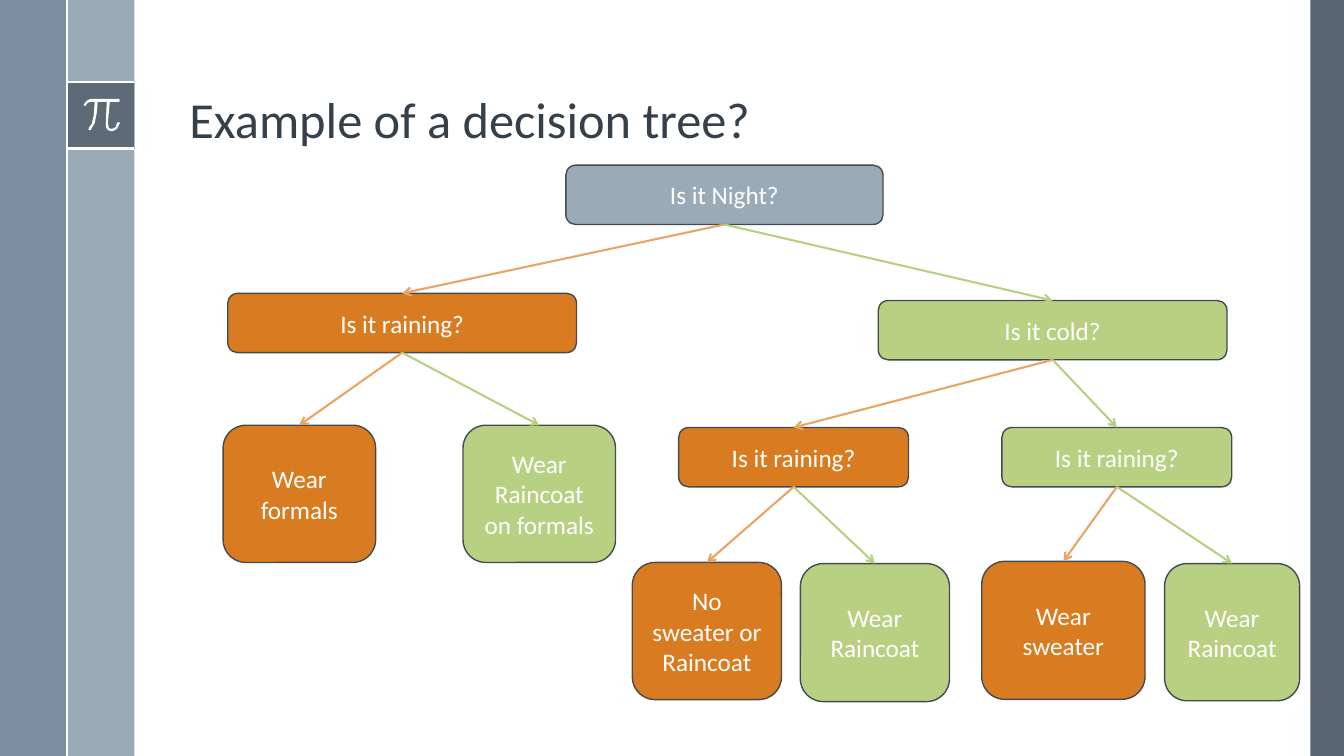
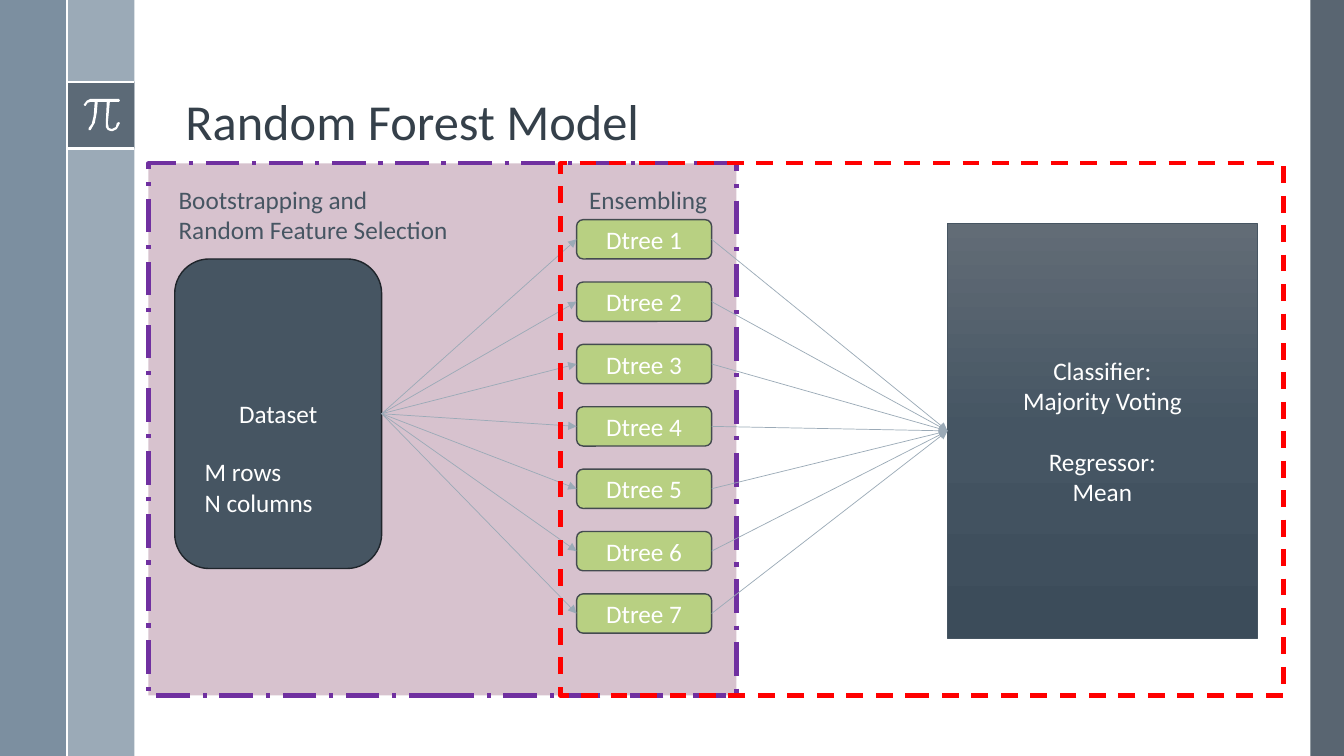
from collections import namedtuple
from copy import deepcopy

from lxml.etree import SubElement
from pptx import Presentation
from pptx.dml.color import RGBColor
from pptx.enum.dml import MSO_LINE
from pptx.enum.shapes import MSO_CONNECTOR, MSO_SHAPE
from pptx.enum.text import MSO_ANCHOR, PP_ALIGN
from pptx.oxml.ns import qn
from pptx.util import Inches, Pt

WIDTH, HEIGHT = Inches(13.33), Inches(7.5)
COLUMN, ROW = WIDTH / 20, HEIGHT / 20

WHITE = RGBColor(0xFF, 0xFF, 0xFF)
SLATE = RGBColor(0x47, 0x55, 0x62)
STEEL = RGBColor(0x6A, 0x80, 0x93)
MIST = RGBColor(0x9B, 0xAA, 0xB7)
INK = RGBColor(0x35, 0x40, 0x4A)
DATA_GREY = RGBColor(0x46, 0x55, 0x62)
DATA_EDGE = RGBColor(0x1F, 0x25, 0x2B)
NODE_EDGE = RGBColor(0x44, 0x4B, 0x50)
ORANGE = RGBColor(0xD9, 0x7B, 0x20)
PALE_ORANGE = RGBColor(0xE8, 0xA5, 0x65)
GREEN = RGBColor(0xB8, 0xD0, 0x82)
MAUVE = RGBColor(0xD7, 0xC2, 0xCE)
PURPLE = RGBColor(0x70, 0x30, 0xA0)
RED = RGBColor(0xFF, 0x00, 0x00)
CLASSIFIER_STOPS = {
    0: RGBColor(0x62, 0x6C, 0x76),
    0.5: RGBColor(0x45, 0x55, 0x63),
    1: RGBColor(0x3C, 0x4C, 0x5A),
}

BODY = {"name": "Calibri", "size": Pt(18)}
TITLE = {"name": "Calibri", "size": Pt(36)}
TOP, LEFT, BOTTOM, RIGHT = range(4)  # connection sites of a box

# Outline of the pi sign, in hundredths of an inch
PI_OUTLINE = [
    (118, 98), (90, 98), (86, 100), (83, 104), (84, 105), (85, 105),
    (87, 102), (90, 101), (94, 101), (93, 115), (91, 123), (88, 127),
    (88, 129), (90, 129), (94, 122), (96, 112), (97, 101), (106, 101),
    (105, 122), (105, 126), (107, 129), (110, 130), (112, 130), (116, 128),
    (119, 122), (118, 121), (116, 122), (115, 126), (111, 128), (108, 127),
    (107, 122), (109, 101), (118, 101), (119, 100),
]

Node = namedtuple("Node", "text place no yes", defaults=(None, None))

# Places are left column, top row, columns wide, rows high
DECISION_TREE = Node(
    "Is it Night?", (8.42, 4.37, 4.72, 1.57),
    no=Node(
        "Is it raining?", (3.39, 7.76, 5.19, 1.57),
        no=Node("Wear formals", (3.32, 11.25, 2.27, 3.63)),
        yes=Node("Wear Raincoat\non formals", (6.89, 11.25, 2.27, 3.63)),
    ),
    yes=Node(
        "Is it cold?", (13.07, 7.95, 5.19, 1.57),
        no=Node(
            "Is it raining?", (10.1, 11.31, 3.42, 1.57),
            no=Node("No sweater or Raincoat", (9.41, 14.88, 2.22, 3.63)),
            yes=Node("Wear Raincoat", (11.91, 14.91, 2.22, 3.65)),
        ),
        yes=Node(
            "Is it raining?", (14.91, 11.31, 3.42, 1.57),
            no=Node("Wear sweater", (14.61, 14.85, 2.43, 3.65)),
            yes=Node("Wear Raincoat", (17.33, 14.91, 2.01, 3.63)),
        ),
    ),
)


def on_grid(left, top, columns, rows):
    return (round(left * COLUMN), round(top * ROW),
            round(columns * COLUMN), round(rows * ROW))


def write(box, text, color, style=BODY, align=PP_ALIGN.LEFT,
          anchor=MSO_ANCHOR.TOP):
    """Fill the box with one paragraph for each line of text."""
    frame = box.text_frame
    frame.word_wrap = True
    frame.vertical_anchor = anchor
    frame.text = text
    for para in frame.paragraphs:
        para.alignment = align
        for name, value in style.items():
            setattr(para.font, name, value)
        para.font.color.rgb = color
    return frame


def add_label(slide, place, text, color, **layout):
    box = slide.shapes.add_textbox(*on_grid(*place))
    return write(box, text, color, **layout)


def add_box(slide, place, fill=None, edge=None, weight=1, dash=None,
            preset=MSO_SHAPE.RECTANGLE, text="", opacity=100):
    box = slide.shapes.add_shape(preset, *on_grid(*place))
    box.shadow.inherit = False
    if fill is None:
        box.fill.background()
    else:
        box.fill.solid()
        box.fill.fore_color.rgb = fill
    if opacity < 100:
        color = box.fill._xPr.find(qn("a:solidFill"))[0]
        SubElement(color, qn("a:alpha"), val=str(opacity * 1000))
    if edge is None:
        box.line.fill.background()
    else:
        box.line.color.rgb = edge
        box.line.width = Pt(weight)
        if dash:
            box.line.dash_style = dash
    if text:
        write(box, text, WHITE, align=PP_ALIGN.CENTER,
              anchor=MSO_ANCHOR.MIDDLE)
    return box


def add_node(slide, place, text, fill, edge=NODE_EDGE):
    return add_box(slide, place, fill, edge, text=text,
                   preset=MSO_SHAPE.ROUNDED_RECTANGLE)


def add_line(slide, color, weight, ends=(0, 0, 0, 0), head=None):
    """Draw a line between grid points: from column, row to column, row."""
    line = slide.shapes.add_connector(MSO_CONNECTOR.STRAIGHT, *on_grid(*ends))
    line.line.color.rgb = color
    line.line.width = Pt(weight)
    if head:
        SubElement(line.line._get_or_add_ln(), qn("a:tailEnd"), type=head)
    SubElement(line._element.spPr, qn("a:effectLst"))
    return line


def link(slide, start, start_site, end, end_site, color, weight, head):
    """Join two boxes with an arrow."""
    arrow = add_line(slide, color, weight, head=head)
    arrow.begin_connect(start, start_site)
    arrow.end_connect(end, end_site)


def shade(box, stops):
    """Fill the box with a gradient that runs downwards."""
    box.fill.gradient()
    box.fill.gradient_angle = 270
    stop_list = box.fill._xPr.find(qn("a:gradFill")).find(qn("a:gsLst"))
    while len(stop_list) < len(stops):
        stop_list.append(deepcopy(stop_list[0]))
    for stop, (position, color) in zip(box.fill.gradient_stops, stops.items()):
        stop.position = position
        stop.color.rgb = color


def add_pi(slide):
    builder = slide.shapes.build_freeform(*PI_OUTLINE[0], scale=Inches(0.01))
    builder.add_line_segments(PI_OUTLINE[1:])
    sign = builder.convert_to_shape()
    sign.shadow.inherit = False
    sign.fill.solid()
    sign.fill.fore_color.rgb = WHITE
    sign.line.fill.background()


def add_page(deck, title, title_left, title_top):
    """Start a slide with the side bands, the pi badge and a title."""
    slide = deck.slides.add_slide(deck.slide_layouts[6])
    badge_top, badge_rows = 2.16, 1.77
    for place, color, opacity in (
        ((19.5, 0, 0.5, 20), SLATE, 90),
        ((1, 0, 1, 20), MIST, 100),
        ((0, 0, 1, 20), STEEL, 88),
        ((1, badge_top, 1, badge_rows), SLATE, 75),
    ):
        add_box(slide, place, color, opacity=opacity)
    for row in (badge_top, badge_top + badge_rows):
        add_line(slide, WHITE, 1.5, (1, row, 2, row))
    add_pi(slide)
    add_line(slide, WHITE, 1.5, (1, 0, 1, 20))
    frame = add_label(slide, (title_left, title_top, 16.05, 3.63), title, INK,
                      style=TITLE, anchor=MSO_ANCHOR.BOTTOM)
    frame.paragraphs[0].line_spacing = 0.9
    return slide


def add_tree(slide, node, fill=MIST):
    """Draw a node, its branches and the arrows to them."""
    box = add_node(slide, node.place, node.text, fill)
    for branch, branch_fill, arrow_color in (
        (node.no, ORANGE, PALE_ORANGE), (node.yes, GREEN, GREEN),
    ):
        if branch:
            child = add_tree(slide, branch, branch_fill)
            link(slide, box, BOTTOM, child, TOP, arrow_color, 1.5, "arrow")
    return box


def add_forest(slide):
    frame_top, frame_rows = 4.32, 14.08
    add_box(slide, (2.21, frame_top, 8.75, frame_rows), MAUVE, PURPLE, 3,
            MSO_LINE.LONG_DASH_DOT)
    dataset = add_node(slide, (2.6, 6.85, 3.08, 8.19), "Dataset",
                       DATA_GREY, DATA_EDGE)
    classifier = add_box(
        slide, (14.1, 5.92, 4.61, 10.96), DATA_GREY, DATA_GREY, 0.5,
        text="Classifier:\nMajority Voting\nRegressor:\nMean")
    shade(classifier, CLASSIFIER_STOPS)
    classifier.text_frame.paragraphs[2].space_before = Pt(22)
    for index in range(7):
        tree = add_node(slide, (8.58, 5.81 + 1.65 * index, 2.01, 1.04),
                        f"Dtree {index + 1}", GREEN)
        for start, end in ((dataset, tree), (tree, classifier)):
            link(slide, start, RIGHT, end, LEFT, MIST, 0.5, "triangle")
    add_box(slide, (8.34, frame_top, 10.76, frame_rows), edge=RED, weight=3,
            dash=MSO_LINE.DASH)
    add_label(slide, (2.9, 11.95, 2.48, 1.89), "M rows\nN columns", WHITE)
    add_label(slide, (7.4, 4.75, 4.49, 1.07), "Ensembling", DATA_GREY,
              align=PP_ALIGN.CENTER)
    add_label(slide, (2.51, 4.75, 5.25, 1.89),
              "Bootstrapping and\nRandom Feature Selection", DATA_GREY)


def main():
    deck = Presentation()
    deck.slide_width, deck.slide_height = WIDTH, HEIGHT
    add_tree(add_page(deck, "Example of a decision tree?", 2.67, 0.45),
             DECISION_TREE)
    add_forest(add_page(deck, "Random Forest Model", 2.61, 0.51))
    deck.save("out.pptx")


if __name__ == "__main__":
    main()
